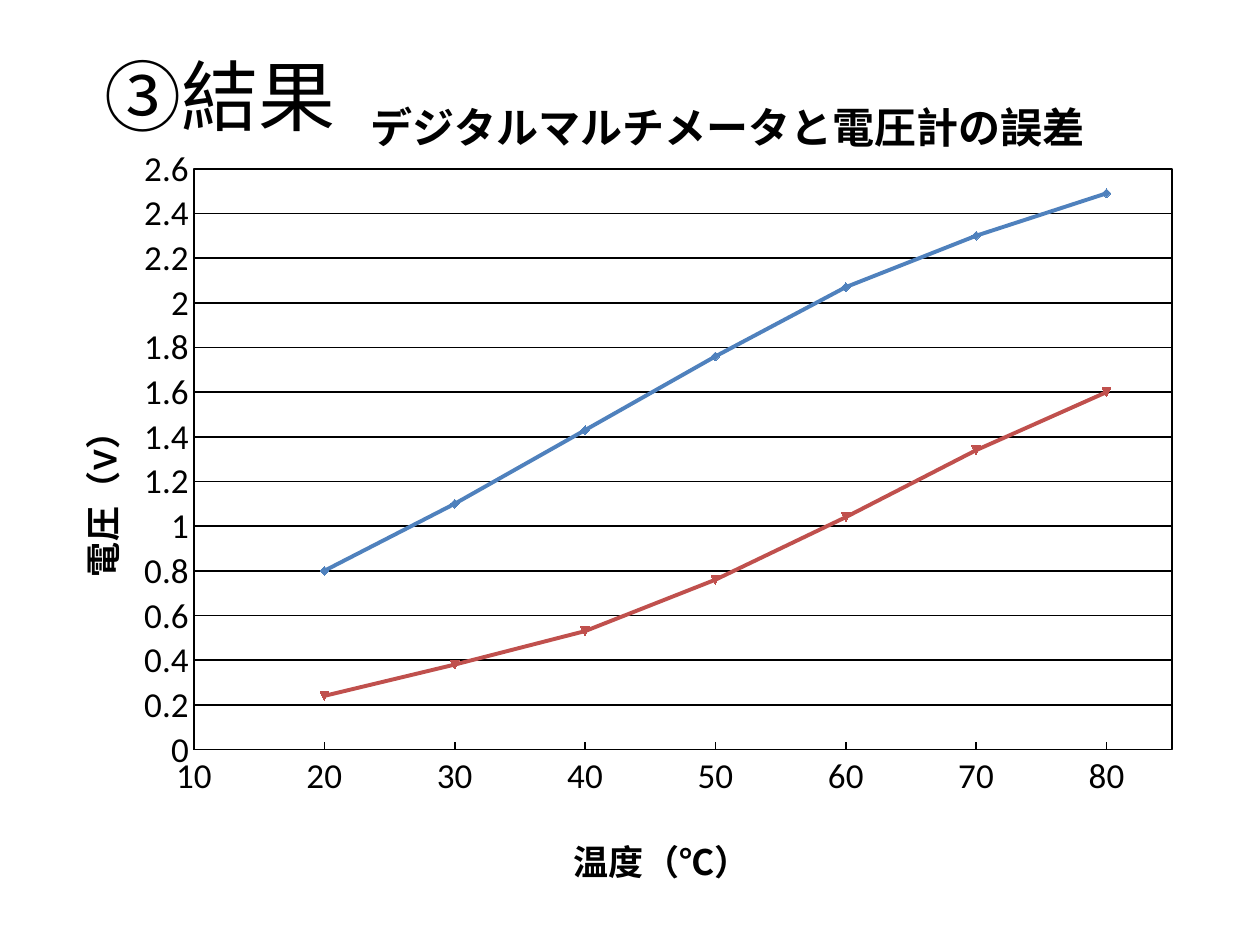
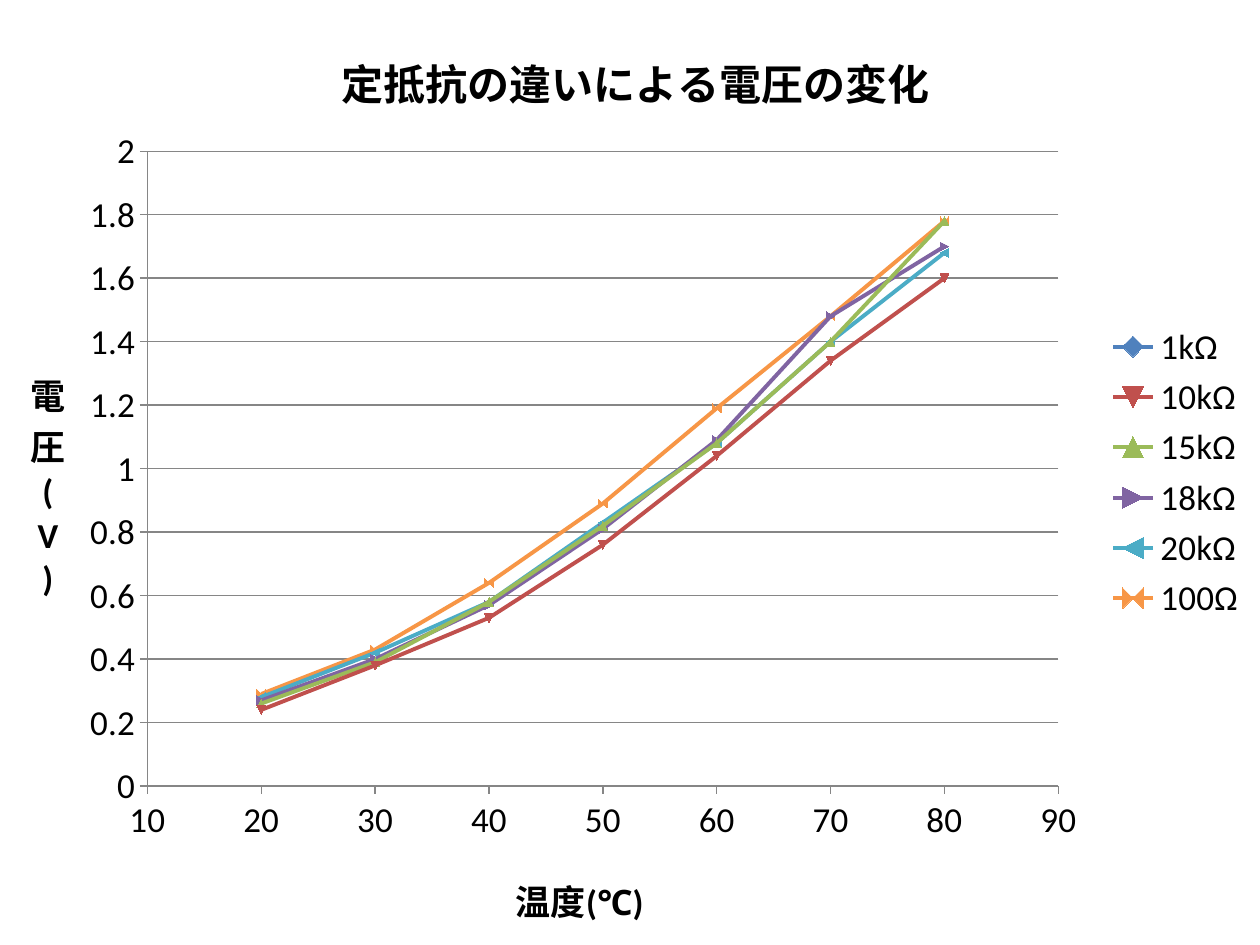
from dataclasses import dataclass

from lxml.etree import SubElement
from pptx import Presentation
from pptx.chart.data import XyChartData
from pptx.dml.color import RGBColor
from pptx.enum.chart import XL_CHART_TYPE, XL_LEGEND_POSITION, XL_TICK_MARK
from pptx.enum.text import MSO_ANCHOR, PP_ALIGN
from pptx.oxml import parse_xml
from pptx.oxml.ns import nsdecls, qn
from pptx.util import Inches, Pt


@dataclass(frozen=True)
class Theme:
    font: str = "Calibri"
    ink: RGBColor = RGBColor(0, 0, 0)
    gray: RGBColor = RGBColor(0x86, 0x86, 0x86)
    palette: tuple = ("4F81BD", "C0504D", "9BBB59", "8064A2", "4BACC6", "F79646")
    heading: int = 44
    chart_title: int = 24
    label: int = 20
    curve: float = 2.25
    marker: int = 5


@dataclass(frozen=True)
class Scale:
    title: str
    title_at: tuple
    low: float
    high: float
    step: float
    direction: dict


THEME = Theme()
HORIZONTAL = {"rot": "0", "vert": "horz"}
TURNED = {"rot": "-5400000", "vert": "horz"}
STACKED = {"rot": "0", "vert": "wordArtVertRtl"}

METER_TEMPERATURES = range(20, 90, 10)
METER_VOLTAGES = {
    "Series 1": (0.8, 1.1, 1.43, 1.76, 2.07, 2.3, 2.49),
    "Series 2": (0.24, 0.38, 0.53, 0.76, 1.04, 1.34, 1.6),
}
RESISTOR_TEMPERATURES = range(80, 10, -10)
RESISTOR_VOLTAGES = {
    "1kΩ": (0.82,),
    "10kΩ": (1.6, 1.34, 1.04, 0.76, 0.53, 0.38, 0.24),
    "15kΩ": (1.78, 1.4, 1.08, 0.82, 0.58, 0.39, 0.26),
    "18kΩ": (1.7, 1.48, 1.09, 0.81, 0.57, 0.4, 0.27),
    "20kΩ": (1.68, 1.4, 1.08, 0.83, 0.58, 0.42, 0.28),
    "100Ω": (1.78, 1.48, 1.19, 0.89, 0.64, 0.43, 0.29),
}


def style_font(font, size, bold=False):
    font.name = THEME.font
    font.size = Pt(size)
    font.bold = bold
    font.color.rgb = THEME.ink


def style_line(line, color, width):
    line.color.rgb = color
    line.width = Pt(width)


def place_in_chart(parent, index, box, area, inner=False):
    for previous in parent.findall(qn("c:layout")):
        parent.remove(previous)
    layout = parse_xml(f"<c:layout {nsdecls('c')}/>")
    parent.insert(index, layout)
    manual = SubElement(layout, qn("c:manualLayout"))
    if inner:
        SubElement(manual, qn("c:layoutTarget"), val="inner")
    for side in "xy":
        SubElement(manual, qn(f"c:{side}Mode"), val="edge")
    left, top, width, height = box
    fractions = (
        (area[0] - left) / width,
        (area[1] - top) / height,
        *(part / whole for part, whole in zip(area[2:], (width, height))),
    )
    for name, fraction in zip("xywh", fractions):
        SubElement(manual, qn(f"c:{name}"), val=f"{fraction:.4f}")


def write_title(title, words, size, box, position, direction=HORIZONTAL):
    frame = title.text_frame
    run = frame.paragraphs[0].add_run()
    run.text = words
    style_font(run.font, size, bold=True)
    element = title._element
    body = element.find(".//" + qn("a:bodyPr"))
    for key, value in direction.items():
        body.set(key, value)
    place_in_chart(element, 1, box, position)


def style_axis(axis, scale, box, tick, color, width):
    axis.minimum_scale = scale.low
    axis.maximum_scale = scale.high
    axis.major_unit = scale.step
    axis.major_tick_mark = tick
    axis.minor_tick_mark = XL_TICK_MARK.NONE
    style_line(axis.format.line, color, width)
    style_font(axis.tick_labels.font, THEME.label)
    write_title(axis.axis_title, scale.title, THEME.label, box,
                scale.title_at, scale.direction)


def add_voltage_chart(slide, box, plot_box, title, title_at, temperatures, voltages,
                      x_scale, y_scale, tick, grid_color, grid_width):
    data = XyChartData()
    for name, readings in voltages.items():
        curve = data.add_series(name)
        for temperature, voltage in zip(temperatures, readings):
            curve.add_data_point(temperature, voltage)
    chart = slide.shapes.add_chart(
        XL_CHART_TYPE.XY_SCATTER_SMOOTH, *map(Inches, box), data).chart
    chart._chartSpace.find(qn("c:chart")).addnext(parse_xml(
        f"<c:spPr {nsdecls('c', 'a')}><a:noFill/><a:ln><a:noFill/></a:ln></c:spPr>"))
    style_font(chart.font, THEME.label)
    chart.has_legend = False
    chart.has_title = True
    write_title(chart.chart_title, title, THEME.chart_title, box, title_at)

    plot = chart.plots[0]
    plot.vary_by_categories = False
    for curve, hue in zip(plot.series, THEME.palette):
        color = RGBColor.from_string(hue)
        curve.smooth = True
        style_line(curve.format.line, color, THEME.curve)
        curve.marker.size = THEME.marker
        curve.marker.format.fill.solid()
        curve.marker.format.fill.fore_color.rgb = color
        style_line(curve.marker.format.line, color, 0.75)

    for axis, scale in ((chart.category_axis, x_scale), (chart.value_axis, y_scale)):
        style_axis(axis, scale, box, tick, grid_color, grid_width)
    chart.category_axis.has_major_gridlines = False
    chart.value_axis.has_major_gridlines = True
    style_line(chart.value_axis.major_gridlines.format.line, grid_color, grid_width)
    place_in_chart(chart._chartSpace.find(".//" + qn("c:plotArea")), 0, box,
                   plot_box, inner=True)
    return chart


def frame_plot(chart):
    chart._chartSpace.find(".//" + qn("c:plotArea")).append(parse_xml(
        f"<c:spPr {nsdecls('c', 'a')}><a:noFill/><a:ln w=\"{Pt(1)}\"><a:solidFill>"
        f"<a:srgbClr val=\"{THEME.ink}\"/></a:solidFill></a:ln></c:spPr>"))


def add_heading(slide, box, words):
    frame = slide.shapes.add_textbox(*map(Inches, box)).text_frame
    frame.word_wrap = True
    frame.vertical_anchor = MSO_ANCHOR.MIDDLE
    paragraph = frame.paragraphs[0]
    paragraph.alignment = PP_ALIGN.CENTER
    run = paragraph.add_run()
    run.text = words
    style_font(run.font, THEME.heading)


def build_meter_slide(slide):
    add_heading(slide, (0.28, 0.13, 2.93, 1.25), "③結果")
    chart = add_voltage_chart(
        slide, (0.28, 0.44, 9.21, 6.77), (1.54, 1.34, 7.76, 4.61),
        "デジタルマルチメータと電圧計の誤差", (2.88, 0.65),
        METER_TEMPERATURES, METER_VOLTAGES,
        Scale("温度（℃）", (4.5, 6.54), 10, 85, 10, HORIZONTAL),
        Scale("電圧（V）", (0.52, 3.24), 0, 2.6, 0.2, TURNED),
        XL_TICK_MARK.INSIDE, THEME.ink, 1)
    frame_plot(chart)


def build_resistor_slide(slide):
    chart = add_voltage_chart(
        slide, (0, 0, 10, 7.5), (1.17, 1.2, 7.23, 5.04),
        "定抵抗の違いによる電圧の変化", (2.65, 0.31),
        RESISTOR_TEMPERATURES, RESISTOR_VOLTAGES,
        Scale("温度(℃)", (4.04, 6.86), 10, 90, 10, HORIZONTAL),
        Scale("電圧(V)", (0.19, 2.84), 0, 2, 0.2, STACKED),
        XL_TICK_MARK.OUTSIDE, THEME.gray, 0.75)
    chart.has_legend = True
    chart.legend.position = XL_LEGEND_POSITION.RIGHT
    chart.legend.include_in_layout = False
    style_font(chart.legend.font, THEME.label)


def main():
    deck = Presentation()
    deck.slide_width = Inches(10)
    deck.slide_height = Inches(7.5)
    for build in (build_meter_slide, build_resistor_slide):
        build(deck.slides.add_slide(deck.slide_layouts[6]))
    deck.save("out.pptx")


if __name__ == "__main__":
    main()
